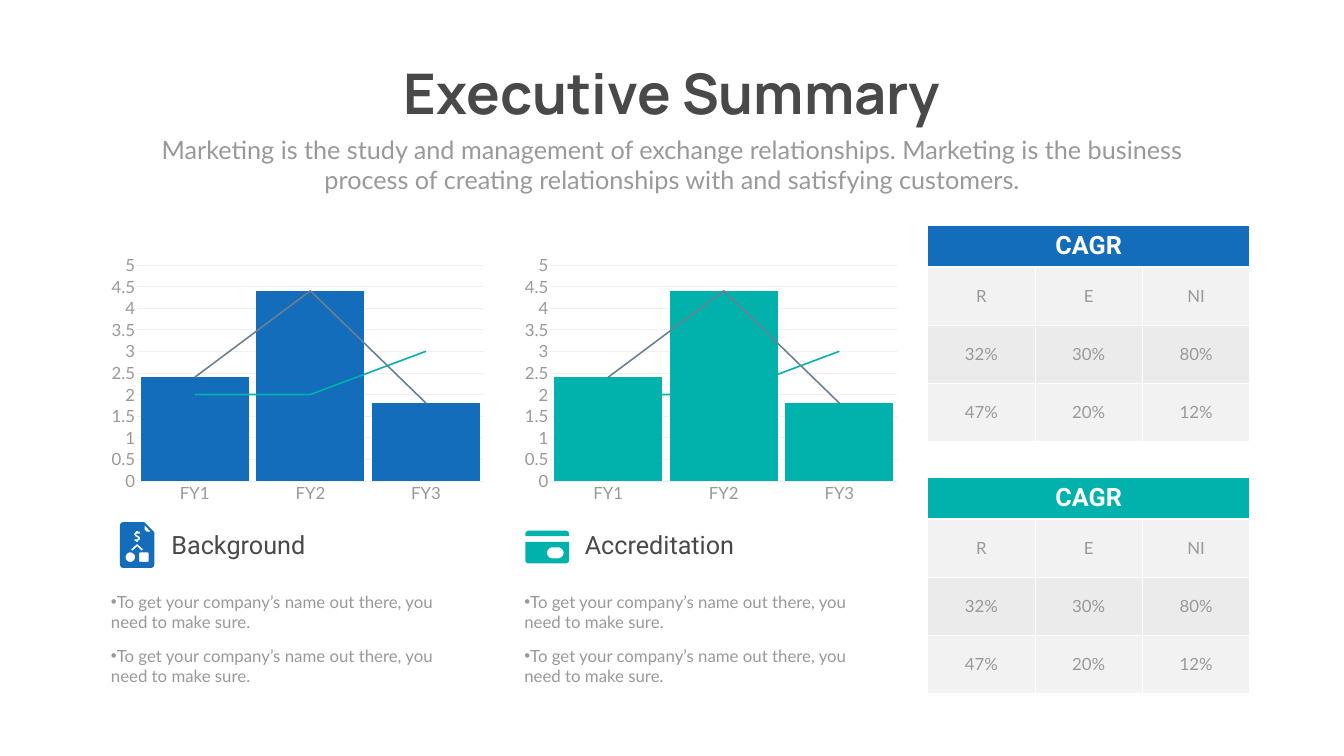
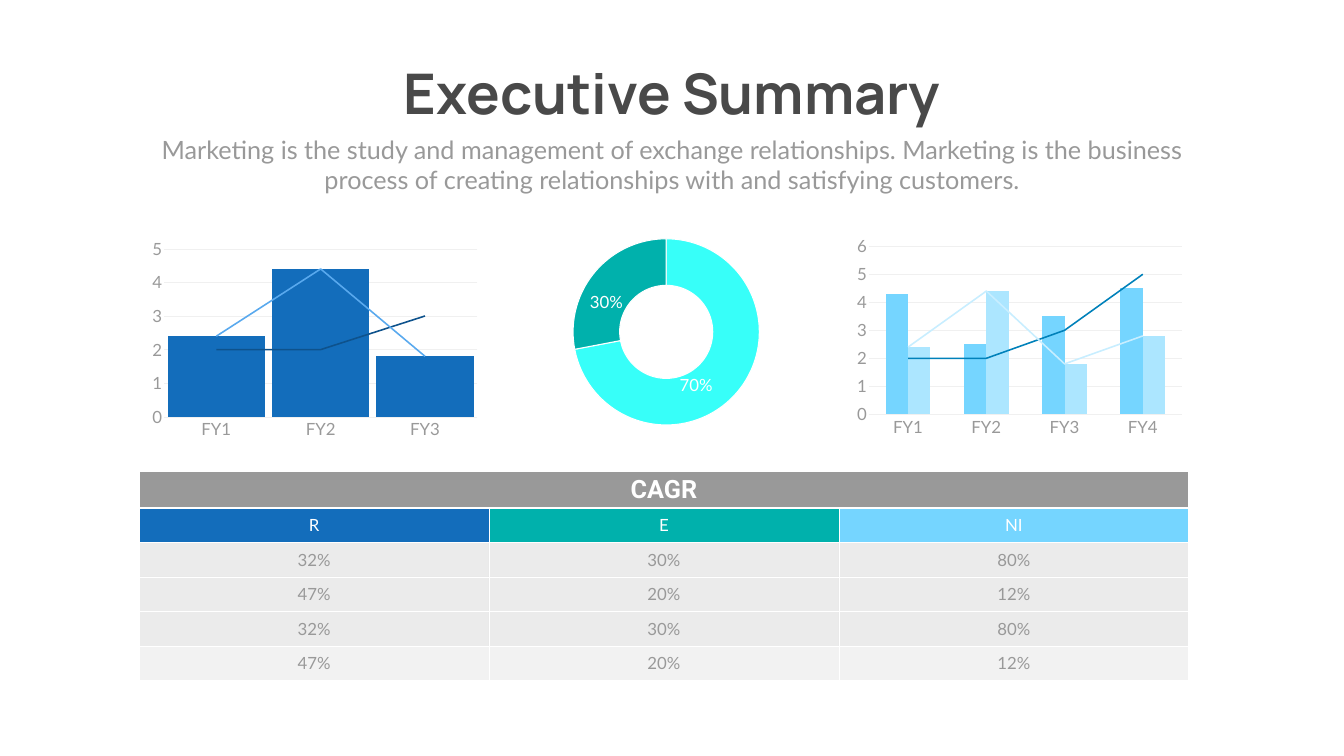
from dataclasses import dataclass
from math import cos, pi, sin

from lxml import etree
from pptx import Presentation
from pptx import util as u
from pptx.chart.data import CategoryChartData
from pptx.dml.color import RGBColor
from pptx.enum import chart as ch
from pptx.enum import text
from pptx.oxml.ns import qn


@dataclass(frozen=True)
class Theme:
    dark: str = "494949"
    grey: str = "999999"
    grid: str = "F0F0F0"
    white: str = "FFFFFF"
    pale: str = "F2F2F2"
    band: str = "D9D9D9"
    blue: str = "136DBB"
    teal: str = "00B1AC"
    slate: str = "698094"
    sky: str = "75D5FF"
    aqua: str = "37FFF9"
    title_font: str = "Manrope"
    head_font: str = "Roboto"
    body_font: str = "Lato"
    title_size: int = 80
    head_size: int = 36
    body_size: int = 24


T = Theme()
WIDTH, HEIGHT = 26.66, 15
CENTER, MIDDLE = text.PP_ALIGN.CENTER, text.MSO_ANCHOR.MIDDLE

# ---- Content ----
TITLE = "Executive Summary"
SUBTITLE = ("Marketing is the study and management of exchange relationships. "
            "Marketing is the business process of creating relationships "
            "with and satisfying customers.")
POINT = "To get your company’s name out there, you need to make sure."
YEARS = ["FY1", "FY2", "FY3", "FY4"]
GROWTH = [("R", "E", "NI"), ("32%", "30%", "80%"), ("47%", "20%", "12%")]
RISE, PEAK = [2, 2, 3], [2.4, 4.4, 1.8]


def three_years(bar, rise, peak):
    """Series as (kind, values, colour)."""
    return [("bar", PEAK, bar), ("line", RISE, rise), ("line", PEAK, peak)]


FOUR_YEARS = [
    ("bar", [4.3, 2.5, 3.5, 4.5], T.sky),
    ("bar", PEAK + [2.8], "ACE6FF"),
    ("line", RISE + [5], "0081BA"),
    ("line", PEAK + [2.8], "C8EEFF"),
]
SHARES = [(72, T.aqua), (28, T.teal)]
SHARE_LABELS = [("30%", 11.54, 5.73), ("70%", 13.32, 7.39)]


# ---- Icon outlines, in hundredths of an inch ----
def rounded(left, top, width, height, radii, cut=0):
    """Rounded rectangle; radii run clockwise from top left, cut trims top right."""
    a, b, c, d = radii
    right, bottom = left + width, top + height
    corners = [(left + a, top + a, a, 2), (right - b, top + b, b, 3),
               (right - c, bottom - c, c, 0), (left + d, bottom - d, d, 1)]
    points = []
    for x, y, r, quarter in corners:
        if cut and quarter == 3:
            points += [(right - cut, top), (right, top + cut)]
            continue
        angles = [(quarter + step / 8) * pi / 2 for step in range(9)]
        points += [(x + r * cos(t), y + r * sin(t)) for t in angles]
    return points


DOLLAR = [(32, 19), (32, 18), (34, 17), (36, 18), (36, 19), (39, 19), (40, 21),
          (39, 23), (34, 23), (32, 24), (34, 26), (38, 28), (40, 32), (39, 35),
          (36, 37), (36, 39), (34, 40), (32, 39), (32, 37), (29, 37), (28, 36),
          (29, 34), (34, 34), (36, 32), (34, 30), (30, 28), (28, 24), (30, 20)]
CHEVRON = [(26, 56), (23, 56), (22, 54), (33, 44), (35, 44), (45, 53), (45, 56),
           (42, 56), (34, 48)]
FOLD = [(49, 6), (61, 19), (53, 19), (49, 15)]
PLAN_ICON = [[rounded(0, 0, 68, 91, (7, 7, 7, 7), cut=20), DOLLAR, CHEVRON, FOLD,
              rounded(11, 60, 19, 19, (9.5,) * 4), rounded(38, 60, 19, 19, (2,) * 4)]]
CARD_ICON = [[rounded(0, 0, 87, 11, (7, 7, 2, 2))],
             [rounded(0, 22, 87, 43, (2, 2, 7, 7)),
              rounded(43, 33, 33, 22, (11,) * 4)]]

# heading, colour, icon parts, icon offset in the column, icon top
TOPICS = [("Background", T.blue, PLAN_ICON, 0.28, 10.36),
          ("Accreditation", T.teal, CARD_ICON, 0.12, 10.53)]


# ---- Helpers ----
def rgb(value):
    return RGBColor.from_string(value)


def set_font(font, size=T.body_size, color=T.grey, name=T.body_font, bold=False):
    font.size, font.name, font.bold = u.Pt(size), name, bold
    font.color.rgb = rgb(color)


def place(shape, left, top, width, height):
    shape.left, shape.top = u.Inches(left), u.Inches(top)
    shape.width, shape.height = u.Inches(width), u.Inches(height)


def write(shape, lines, align=text.PP_ALIGN.LEFT, wrap=True, bullet=False,
          gap=0, **font):
    frame = shape.text_frame
    frame.text = "\n".join(lines)
    frame.word_wrap, frame.auto_size = wrap, text.MSO_AUTO_SIZE.NONE
    frame.vertical_anchor = text.MSO_ANCHOR.TOP
    for index, para in enumerate(frame.paragraphs):
        if bullet:
            props = para._p.get_or_add_pPr()
            props.set("marL", "0")
            props.set("indent", "0")
            etree.SubElement(props, qn("a:buChar")).set("char", "•")
        para.alignment = align
        para.space_before = u.Pt(gap if index else 0)
        for span in para.runs:
            set_font(span.font, **font)


def add_text(page, box, line, **style):
    shape = page.shapes.add_textbox(*(u.Inches(v) for v in box))
    write(shape, [line], align=CENTER, **style)


def new_page(deck, layout):
    page = deck.slides.add_slide(deck.slide_layouts.get_by_name(layout))
    title = page.shapes.title
    place(title, (WIDTH - 11.8) / 2, 1.12, 11.8, 1.45)
    write(title, [TITLE], align=CENTER, wrap=False, size=T.title_size,
          color=T.dark, name=T.title_font, bold=True)
    add_text(page, ((WIDTH - 20.82) / 2, 2.61, 20.82, 1.31), SUBTITLE,
             size=T.head_size)
    return page


def add_chart(page, kind, box, categories, value_lists):
    data = CategoryChartData()
    data.categories = categories
    for number, values in enumerate(value_lists, 1):
        data.add_series(f"Series {number}", values)
    chart = page.shapes.add_chart(kind, *(u.Inches(v) for v in box), data).chart
    chart.has_title = chart.has_legend = False
    set_font(chart.font, size=10, name="Calibri")
    return chart


def add_combo(page, box, series, top_value, step, gap=7):
    """Columns and lines over one pair of axes."""
    count = len(series[0][1])
    chart = add_chart(page, ch.XL_CHART_TYPE.COLUMN_CLUSTERED, box,
                      YEARS[:count], [values for _, values, _ in series])
    chart.plots[0].gap_width = gap
    chart.plots[0].vary_by_categories = False

    # Move the line series into a line plot that shares the axes
    bars = chart.plots[0]._element
    lines = etree.Element(qn("c:lineChart"))
    lines = bars.makeelement(qn("c:lineChart"))
    etree.SubElement(lines, qn("c:grouping")).set("val", "standard")
    etree.SubElement(lines, qn("c:varyColors")).set("val", "0")
    for (kind, _, _), item in zip(series, bars.findall(qn("c:ser"))):
        if kind == "line":
            for flag in item.findall(qn("c:invertIfNegative")):
                item.remove(flag)
            lines.append(item)
    etree.SubElement(lines, qn("c:marker")).set("val", "1")
    for axis in bars.findall(qn("c:axId")):
        etree.SubElement(lines, qn("c:axId")).set("val", axis.get("val"))
    bars.addnext(lines)

    colors = {kind: [c for k, _, c in series if k == kind] for kind in ("bar", "line")}
    for item, color in zip(chart.plots[0].series, colors["bar"]):
        item.format.fill.solid()
        item.format.fill.fore_color.rgb = rgb(color)
    for item, color in zip(chart.plots[1].series, colors["line"]):
        item.format.line.color.rgb = rgb(color)
        item.format.line.width = u.Pt(2.25)
        item.marker.style = ch.XL_MARKER_STYLE.NONE
        item.smooth = False

    # Axes
    years, scale = chart.category_axis, chart.value_axis
    scale.minimum_scale, scale.maximum_scale, scale.major_unit = 0, top_value, step
    scale.has_major_gridlines = True
    for line in (years.format.line, scale.major_gridlines.format.line):
        line.color.rgb = rgb(T.grid)
        line.width = u.Pt(0.75)
    scale.format.line.fill.background()
    for axis in (years, scale):
        axis.major_tick_mark = axis.minor_tick_mark = ch.XL_TICK_MARK.NONE
        set_font(axis.tick_labels.font)


def add_doughnut(page, box):
    chart = add_chart(page, ch.XL_CHART_TYPE.DOUGHNUT, box, ["1", "2"],
                      [[value for value, _ in SHARES]])
    plot = chart.plots[0]
    plot._element.find(qn("c:holeSize")).set("val", "40")
    for index, (_, color) in enumerate(SHARES):
        look = plot.series[0].points[index].format
        look.fill.solid()
        look.fill.fore_color.rgb = rgb(color)
        look.line.color.rgb = rgb(T.white)
        look.line.width = u.Pt(1.5)


def style_cell(cell, line, fill, header=False, **font):
    cell.text = line
    cell.vertical_anchor = MIDDLE
    para = cell.text_frame.paragraphs[0]
    para.alignment = CENTER
    for span in para.runs:
        set_font(span.font, **font)
    props = cell._tc.get_or_add_tcPr()
    for side in "LRTB":
        points = 3 if header and side == "B" else 1
        border = etree.SubElement(props, qn(f"a:ln{side}"), w=str(u.Pt(points)))
        paint = etree.SubElement(border, qn("a:solidFill"))
        etree.SubElement(paint, qn("a:srgbClr"), val=T.white)
    cell.fill.solid()
    cell.fill.fore_color.rgb = rgb(fill)
    if fill == T.band:
        color = props.find(qn("a:solidFill"))[0]
        etree.SubElement(color, qn("a:alpha"), val="50000")


def add_growth_table(page, box, head_height, head_fill, rows, row_fills, label=T.grey):
    """CAGR table; each row's fills hold one colour per column."""
    table = page.shapes.add_table(len(rows) + 1, 3, *(u.Inches(v) for v in box)).table
    table.horz_banding = False
    for column in table.columns:
        column.width = u.Inches(box[2] / 3)
    for index, row in enumerate(table.rows):
        row.height = u.Inches((box[3] - head_height) / len(rows) if index else head_height)
    table.cell(0, 0).merge(table.cell(0, 2))
    style_cell(table.cell(0, 0), "CAGR", head_fill, header=True, size=T.head_size,
               color=T.white, name=T.head_font, bold=True)
    for r, (values, fills) in enumerate(zip(rows, row_fills), 1):
        for c, (value, fill) in enumerate(zip(values, fills)):
            style_cell(table.cell(r, c), value, fill, color=label if r == 1 else T.grey)


def add_icon(page, parts, color, left, top):
    for contours in parts:
        builder = None
        for contour in contours:
            points = [(x * 100, y * 100) for x, y in contour]
            if builder is None:
                builder = page.shapes.build_freeform(*points[0], scale=91.44)
            else:
                builder.move_to(*points[0])
            builder.add_line_segments(points[1:], close=True)
        shape = builder.convert_to_shape(u.Inches(left), u.Inches(top))
        shape.shadow.inherit = False
        shape.fill.solid()
        shape.fill.fore_color.rgb = rgb(color)
        shape.line.fill.background()


# ---- Slides ----
def build_topics(deck):
    page = new_page(deck, "Comparison")
    holders = {holder.placeholder_format.idx: holder for holder in page.placeholders}
    for index, (name, color, icon, shift, icon_top) in enumerate(TOPICS):
        left = 2.1 + 8.2 * index
        add_combo(page, (left - 0.04, 4.95, 7.69, 5.14),
                  three_years(color, T.teal, T.slate), 5, 0.5)
        heading, points = holders[1 + 2 * index], holders[2 + 2 * index]
        place(heading, left + 1.2, 10.46, 3.26, 0.71)
        write(heading, [name], size=T.head_size, color=T.dark, name=T.head_font)
        place(points, left, 11.69, 7.35, 1.97)
        write(points, [POINT, POINT], bullet=True, gap=19)
        add_icon(page, icon, color, left + shift, icon_top)
        add_growth_table(page, (18.4, 4.47 + 5 * index, 6.39, 4.28), 0.83, color,
                         GROWTH, [[T.pale] * 3, [T.band] * 3, [T.pale] * 3])


def build_overview(deck):
    page = new_page(deck, "Title Only")
    add_growth_table(page, (2.76, 9.35, 20.82, 4.15), 0.73, T.grey,
                     GROWTH + GROWTH[1:],
                     [[T.blue, T.teal, T.sky]] + [[T.band] * 3] * 3 + [[T.pale] * 3],
                     label=T.white)
    add_combo(page, (2.89, 4.65, 6.71, 4.15),
              three_years(T.blue, "0E528C", "59A9EE"), 5, 1)
    add_doughnut(page, (10.24, 4.6, 5.95, 3.97))
    for label, left, top in SHARE_LABELS:
        add_text(page, (left, top, 0.98, 0.5), label, color=T.white)
    add_combo(page, (16.87, 4.6, 6.71, 4.15), FOUR_YEARS, 6, 1, gap=150)


def main():
    deck = Presentation()
    deck.slide_width, deck.slide_height = u.Inches(WIDTH), u.Inches(HEIGHT)
    build_topics(deck)
    build_overview(deck)
    deck.save("out.pptx")


if __name__ == "__main__":
    main()
